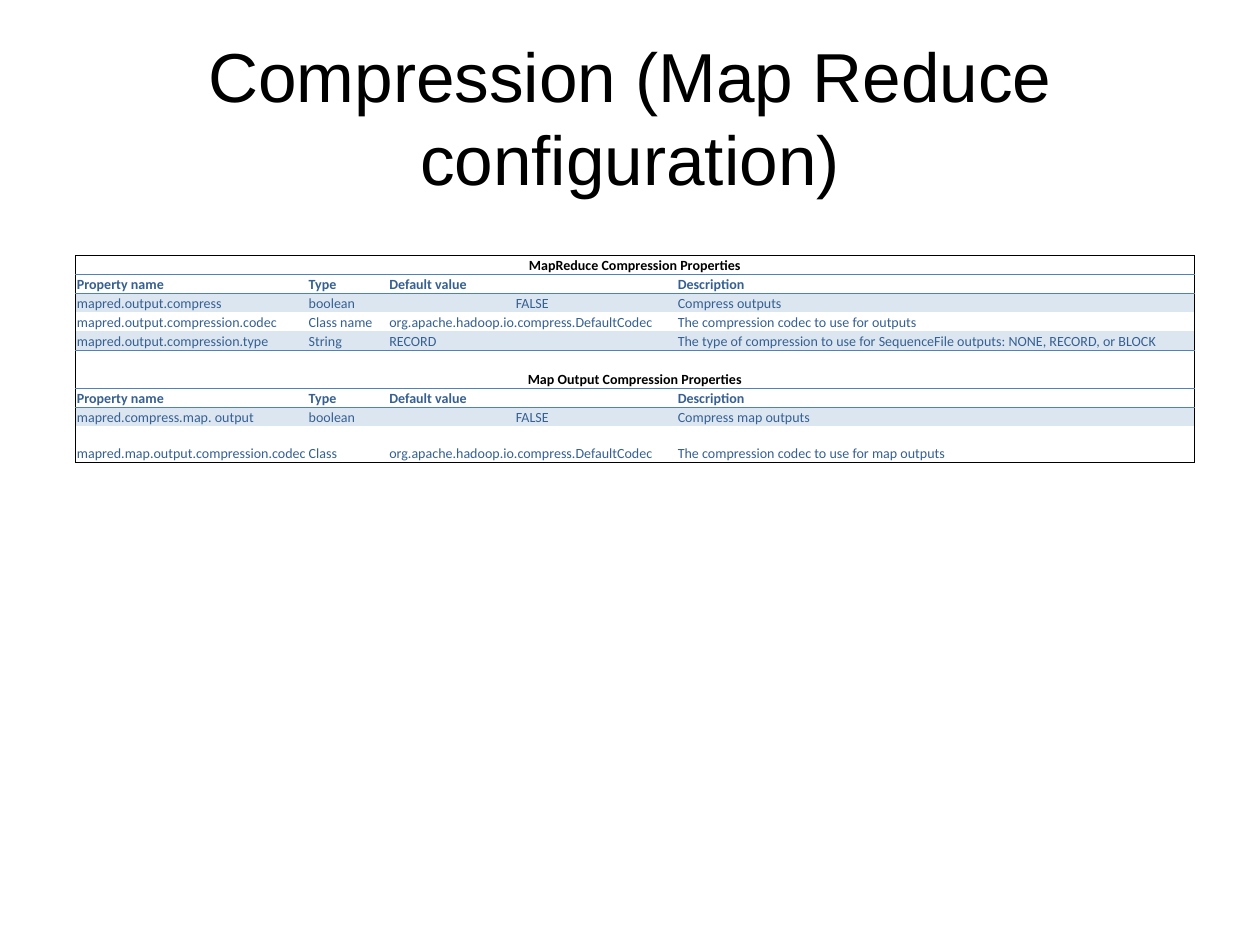
from dataclasses import dataclass

from lxml import etree
from pptx import Presentation
from pptx.dml.color import RGBColor
from pptx.enum import text
from pptx.oxml.ns import qn
from pptx.util import Inches, Pt


@dataclass(frozen=True)
class Theme:
    title_font: str = "Arial"
    table_font: str = "Calibri"
    title_size: float = 39.6
    table_size: float = 8
    line_width: float = 0.5
    black: str = "000000"
    ink: str = "366092"
    rule: str = "4F81BD"
    band: str = "DCE6F1"


THEME = Theme()
NO_GRID_STYLE = "{2D5ABB26-0587-4C30-8999-92F81FD0307C}"
COLUMN_WIDTHS = [1.84, 0.64, 2.29, 4.11]
ROW_HEIGHT = 0.15
LAST_ROW_HEIGHT = 0.29
HEADINGS = ["Property name", "Type", "Default value", "Description"]
CODEC = "org.apache.hadoop.io.compress.DefaultCodec"

# Each row: kind, colour of the line below it, cell texts
ROWS = [
    ("caption", THEME.rule, ["MapReduce Compression Properties"]),
    ("header", THEME.rule, HEADINGS),
    ("band", None, ["mapred.output.compress", "boolean", "FALSE", "Compress outputs"]),
    ("plain", None, ["mapred.output.compression.codec", "Class name", CODEC,
                     "The compression codec to use for outputs"]),
    ("band", THEME.rule, ["mapred.output.compression.type", "String", "RECORD",
                          "The type of compression to use for SequenceFile outputs: "
                          "NONE, RECORD, or BLOCK"]),
    ("plain", None, [""] * 4),
    ("caption", THEME.rule, ["Map Output Compression Properties"]),
    ("header", THEME.rule, HEADINGS),
    ("band", None, ["mapred.compress.map. output", "boolean", "FALSE",
                    "Compress map outputs"]),
    ("plain", THEME.black, ["mapred.map.output.compression.codec", "Class", CODEC,
                            "The compression codec to use for map outputs"]),
]


def style_run(span, font, size, color, bold=False):
    span.font.name = font
    span.font.size = Pt(size)
    span.font.bold = bold
    span.font.color.rgb = RGBColor.from_string(color)


def add_title(page, words):
    title = page.shapes.title
    title.left, title.top = Inches(0.5), Inches(0.3)
    title.width, title.height = Inches(9), Inches(1.25)
    frame = title.text_frame
    frame.text = words
    frame.auto_size = text.MSO_AUTO_SIZE.NONE
    frame.vertical_anchor = text.MSO_ANCHOR.MIDDLE
    para = frame.paragraphs[0]
    para.alignment = text.PP_ALIGN.CENTER
    style_run(para.runs[0], THEME.title_font, THEME.title_size, THEME.black)


def set_borders(cell, edges):
    """Draw the cell edges; edges maps L, R, T and B to a colour or None."""
    properties = cell._tc.get_or_add_tcPr()
    for side in "LRTB":
        line = etree.SubElement(properties, qn(f"a:ln{side}"),
                                w=str(Pt(THEME.line_width)))
        if edges[side]:
            fill = etree.SubElement(line, qn("a:solidFill"))
            etree.SubElement(fill, qn("a:srgbClr"), val=edges[side])
        else:
            etree.SubElement(line, qn("a:noFill"))


def fill_cell(cell, words, kind):
    cell.margin_left = cell.margin_right = cell.margin_top = Inches(0.01)
    cell.margin_bottom = 0
    cell.vertical_anchor = text.MSO_ANCHOR.BOTTOM
    if kind == "band":
        cell.fill.solid()
        cell.fill.fore_color.rgb = RGBColor.from_string(THEME.band)
    else:
        cell.fill.background()

    para = cell.text_frame.paragraphs[0]
    if not words:
        # An empty cell needs a small end mark, or its row grows
        etree.SubElement(para._p, qn("a:endParaRPr"), sz=str(THEME.table_size * 100))
        return
    para.text = words
    centred = kind == "caption" or words == "FALSE"
    para.alignment = text.PP_ALIGN.CENTER if centred else text.PP_ALIGN.LEFT
    style_run(para.runs[0], THEME.table_font, THEME.table_size,
              THEME.black if kind == "caption" else THEME.ink,
              bold=kind in ("caption", "header"))


def add_property_table(page, rows):
    heights = [ROW_HEIGHT] * (len(rows) - 1) + [LAST_ROW_HEIGHT]
    frame = page.shapes.add_table(
        len(rows), len(COLUMN_WIDTHS), Inches(0.6), Inches(2.03),
        Inches(sum(COLUMN_WIDTHS)), Inches(sum(heights)))
    table = frame.table
    table._tbl.tblPr.find(qn("a:tableStyleId")).text = NO_GRID_STYLE
    table.first_row = table.horz_banding = False
    for column, width in zip(table.columns, COLUMN_WIDTHS):
        column.width = Inches(width)

    last = len(COLUMN_WIDTHS) - 1
    line_above = THEME.black
    for r, (kind, line_below, words) in enumerate(rows):
        table.rows[r].height = Inches(heights[r])
        if kind == "caption":
            table.cell(r, 0).merge(table.cell(r, last))
        for c in range(last + 1):
            cell = table.cell(r, c)
            whole = kind == "caption"
            set_borders(cell, {
                "L": THEME.black if c == 0 else None,
                "R": THEME.black if whole or c == last else None,
                "T": line_above,
                "B": line_below,
            })
            fill_cell(cell, words[c] if c < len(words) else "", kind)
        line_above = line_below


def main():
    deck = Presentation()
    deck.slide_width, deck.slide_height = Inches(10), Inches(7.5)
    page = deck.slides.add_slide(deck.slide_layouts[5])
    add_title(page, "Compression (Map Reduce configuration)")
    add_property_table(page, ROWS)
    deck.save("out.pptx")


if __name__ == "__main__":
    main()
